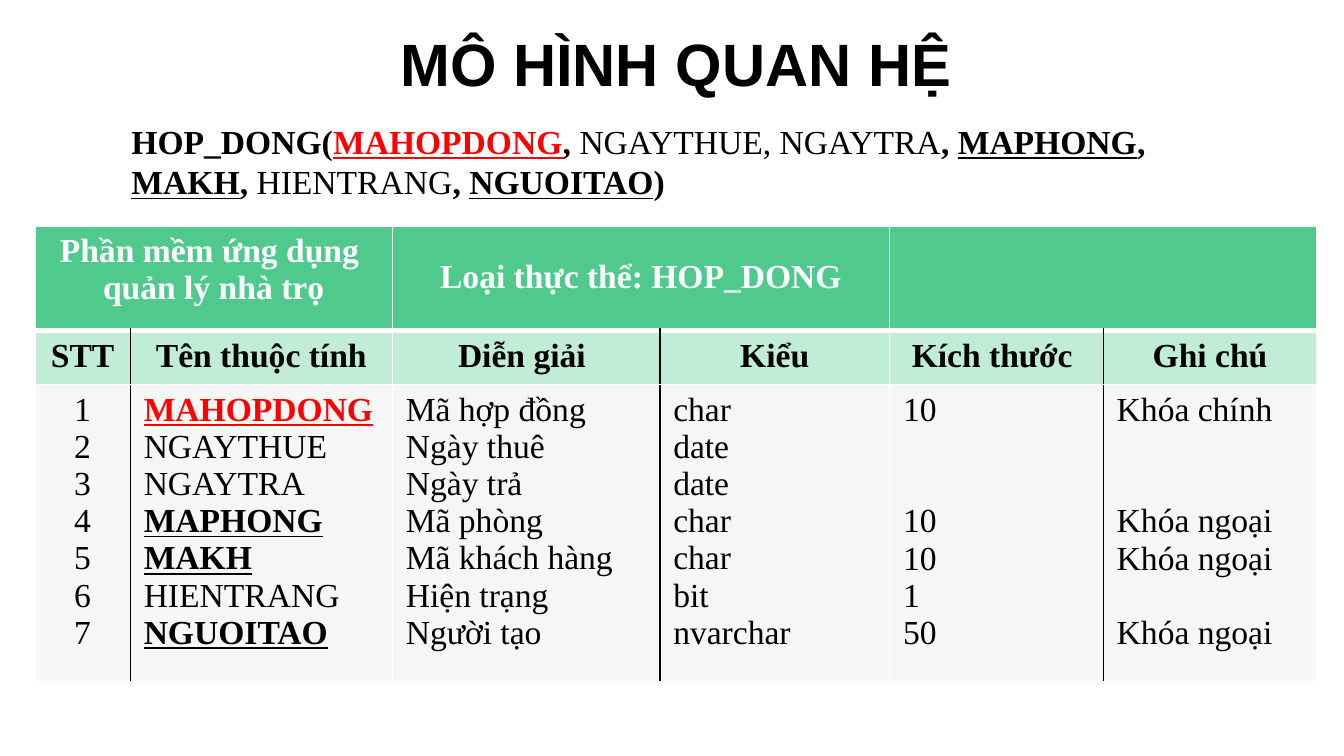
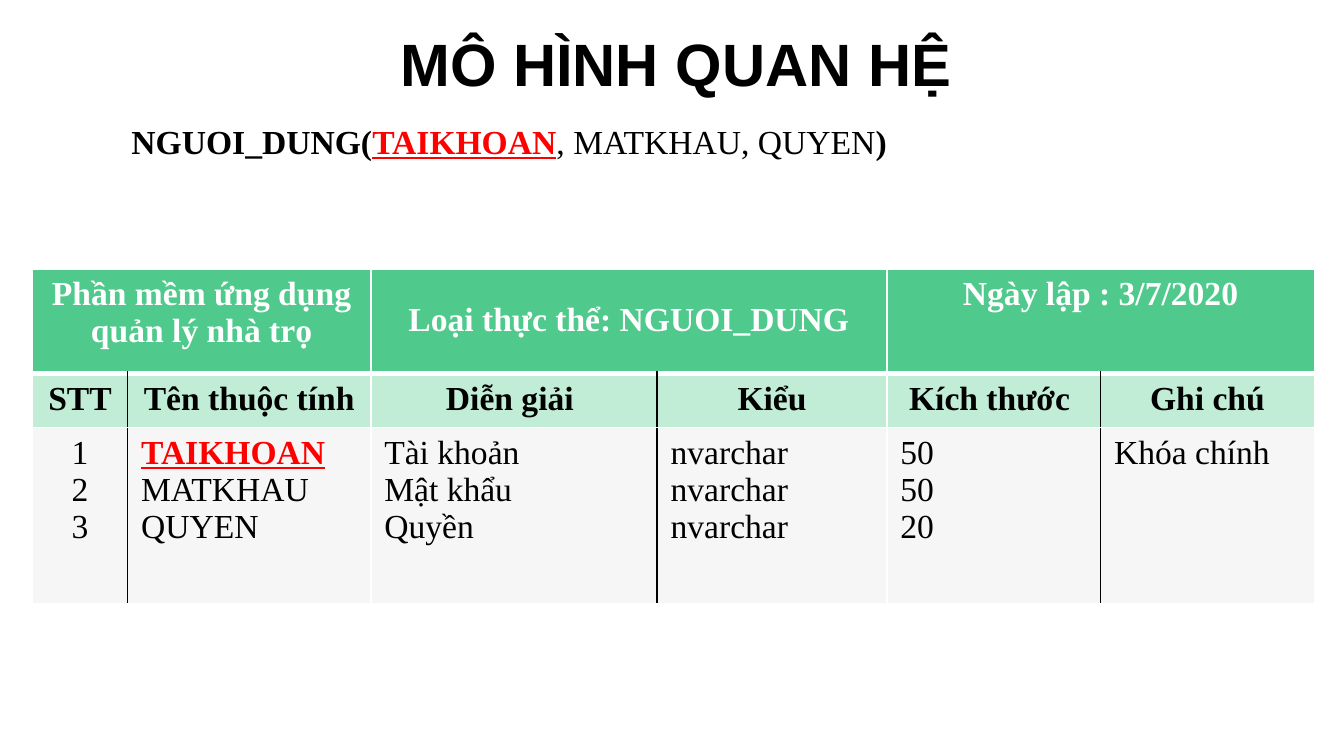
from lxml import etree
from pptx import Presentation
from pptx.dml.color import RGBColor
from pptx.enum import text
from pptx.oxml import ns
from pptx.util import Inches, Pt

BLACK = RGBColor(0x00, 0x00, 0x00)
WHITE = RGBColor(0xFF, 0xFF, 0xFF)
RED = RGBColor(0xFF, 0x00, 0x00)
GREEN = RGBColor(0x50, 0xC9, 0x8C)
MINT = RGBColor(0xC1, 0xEC, 0xD6)
GREY = RGBColor(0xF6, 0xF6, 0xF6)

TITLE = "MÔ HÌNH QUAN HỆ"
HEADINGS = ["STT", "Tên thuộc tính", "Diễn giải ", "Kiểu", "Kích thước ", "Ghi chú"]
PRIMARY, FOREIGN = "Khóa chính", "Khóa ngoại"
LINE_PT = 20  # height of one 18 pt line in a table cell

# style name: (bold, underline, colour)
STYLES = {
    "plain": (False, False, BLACK),
    "bold": (True, False, BLACK),
    "head": (True, False, WHITE),
    PRIMARY: (True, True, RED),
    FOREIGN: (True, True, BLACK),
}

ENTITIES = [
    {
        "schema": [
            [("HOP_DONG(", "bold"), ("MAHOPDONG", PRIMARY), (", ", "bold"),
             ("NGAYTHUE, NGAYTRA", "plain"), (", ", "bold"),
             ("MAPHONG", FOREIGN), (",", "bold")],
            [("MAKH", FOREIGN), (", ", "bold"), ("HIENTRANG", "plain"),
             (", ", "bold"), ("NGUOITAO", FOREIGN), (")", "bold")],
        ],
        "schema_size": (8.15, 1.61),
        "table_at": (0.26, 1.68),
        "cols": [0.71, 1.95, 1.99, 1.71, 1.59, 1.59],
        "body_height": 2.21,
        "banner": [["Phần mềm ứng dụng ", "quản lý nhà trọ"],
                   ["Loại thực thể: HOP_DONG"], []],
        "attributes": [
            ("MAHOPDONG", "Mã hợp đồng", "char", "10", PRIMARY),
            ("NGAYTHUE", "Ngày thuê", "date", "", ""),
            ("NGAYTRA", "Ngày trả", "date", "", ""),
            ("MAPHONG", "Mã phòng", "char", "10", FOREIGN),
            ("MAKH", "Mã khách hàng", "char", "10", FOREIGN),
            ("HIENTRANG", "Hiện trạng", "bit", "1", ""),
            ("NGUOITAO", "Người tạo", "nvarchar", "50", FOREIGN),
        ],
    },
    {
        "schema": [
            [("NGUOI_DUNG(", "bold"), ("TAIKHOAN", PRIMARY),
             (", MATKHAU, QUYEN", "plain"), (")", "bold")],
        ],
        "schema_size": (8.59, 1.31),
        "table_at": (0.24, 2),
        "cols": [0.71, 1.81, 2.13, 1.71, 1.59, 1.59],
        "body_height": 1.31,
        "banner": [["Phần mềm ứng dụng quản lý nhà trọ"],
                   ["Loại thực thể: NGUOI_DUNG"], ["Ngày lập : 3/7/2020"]],
        "attributes": [
            ("TAIKHOAN", "Tài khoản", "nvarchar", "50", PRIMARY),
            ("MATKHAU", "Mật khẩu", "nvarchar", "50", ""),
            ("QUYEN", "Quyền", "nvarchar", "20", ""),
        ],
    },
]


def write(tf, lines, align=text.PP_ALIGN.LEFT, size=18, font="Times New Roman"):
    """Fill a text frame: a line is a list of (text, style); an empty line
    becomes space before the next one."""
    skipped, used = 0, 0
    for line in lines:
        if not line:
            skipped += 1
            continue
        p = tf.add_paragraph() if used else tf.paragraphs[0]
        p.alignment = align
        if skipped:
            p.space_before = Pt(skipped * LINE_PT)
        for words, style in line:
            r = p.add_run()
            r.text = words
            r.font.name, r.font.size = font, Pt(size)
            r.font.bold, r.font.underline, r.font.color.rgb = STYLES[style]
        skipped, used = 0, used + 1


def paint(cell, fill, left, right, bottom_pt=1.0, top_pt=1.0):
    """Set the borders and the fill of a table cell."""
    tc_pr = cell._tc.get_or_add_tcPr()
    for side, color, width in (("L", left, 1), ("R", right, 1),
                               ("T", WHITE, top_pt), ("B", WHITE, bottom_pt)):
        ln = etree.SubElement(tc_pr, ns.qn("a:ln" + side), w=str(Pt(width)))
        solid = etree.SubElement(ln, ns.qn("a:solidFill"))
        etree.SubElement(solid, ns.qn("a:srgbClr"), val=str(color))
    cell.fill.solid()
    cell.fill.fore_color.rgb = fill


prs = Presentation()
prs.slide_width, prs.slide_height = Inches(10), Inches(10 * 9 / 16)

for entity in ENTITIES:
    s = prs.slides.add_slide(prs.slide_layouts[6])

    title = s.shapes.add_textbox(Inches(2.88), Inches(0.15), Inches(4.44), Inches(0.63))
    tf = title.text_frame
    tf.word_wrap = True
    write(tf, [[(TITLE, "bold")]], size=32, font="Arial")
    tf.paragraphs[0].space_before = Pt(6.4)

    width, height = entity["schema_size"]
    schema = s.shapes.add_textbox(Inches(0.88), Inches(0.85), Inches(width), Inches(height))
    tf = schema.text_frame
    tf.word_wrap = True
    write(tf, entity["schema"])

    cols = entity["cols"]
    rows = [0.78, 0.4, entity["body_height"]]
    left, top = entity["table_at"]
    table = s.shapes.add_table(len(rows), len(cols), Inches(left), Inches(top),
                               Inches(sum(cols)), Inches(sum(rows))).table
    for column, width in zip(table.columns, cols):
        column.width = Inches(width)
    for row, height in zip(table.rows, rows):
        row.height = Inches(height)

    for i, lines in enumerate(entity["banner"]):
        cell, partner = table.cell(0, 2 * i), table.cell(0, 2 * i + 1)
        cell.merge(partner)
        for c in (cell, partner):
            paint(c, GREEN, WHITE, WHITE, bottom_pt=3)
        write(cell.text_frame, [[(words, "head")] for words in lines],
              text.PP_ALIGN.CENTER)
    table.cell(0, 2).text_frame.paragraphs[0].line_spacing = 1.7

    attributes = entity["attributes"]
    numbers = [str(n) for n in range(1, len(attributes) + 1)]
    values = [numbers, *zip(*attributes)]
    for i, heading in enumerate(HEADINGS):
        # each pair of columns under a banner is split by a black line
        edges = (WHITE, BLACK) if i % 2 == 0 else (BLACK, WHITE)
        cell = table.cell(1, i)
        paint(cell, MINT, *edges, top_pt=3)
        write(cell.text_frame, [[(heading, "bold")]], text.PP_ALIGN.CENTER)

        cell = table.cell(2, i)
        paint(cell, GREY, *edges)
        lines = []
        for value, attribute in zip(values[i], attributes):
            style = attribute[-1] if i == 1 and attribute[-1] else "plain"
            lines.append([(value, style)] if value else [])
        write(cell.text_frame, lines,
              text.PP_ALIGN.CENTER if i == 0 else text.PP_ALIGN.LEFT)

prs.save("out.pptx")
